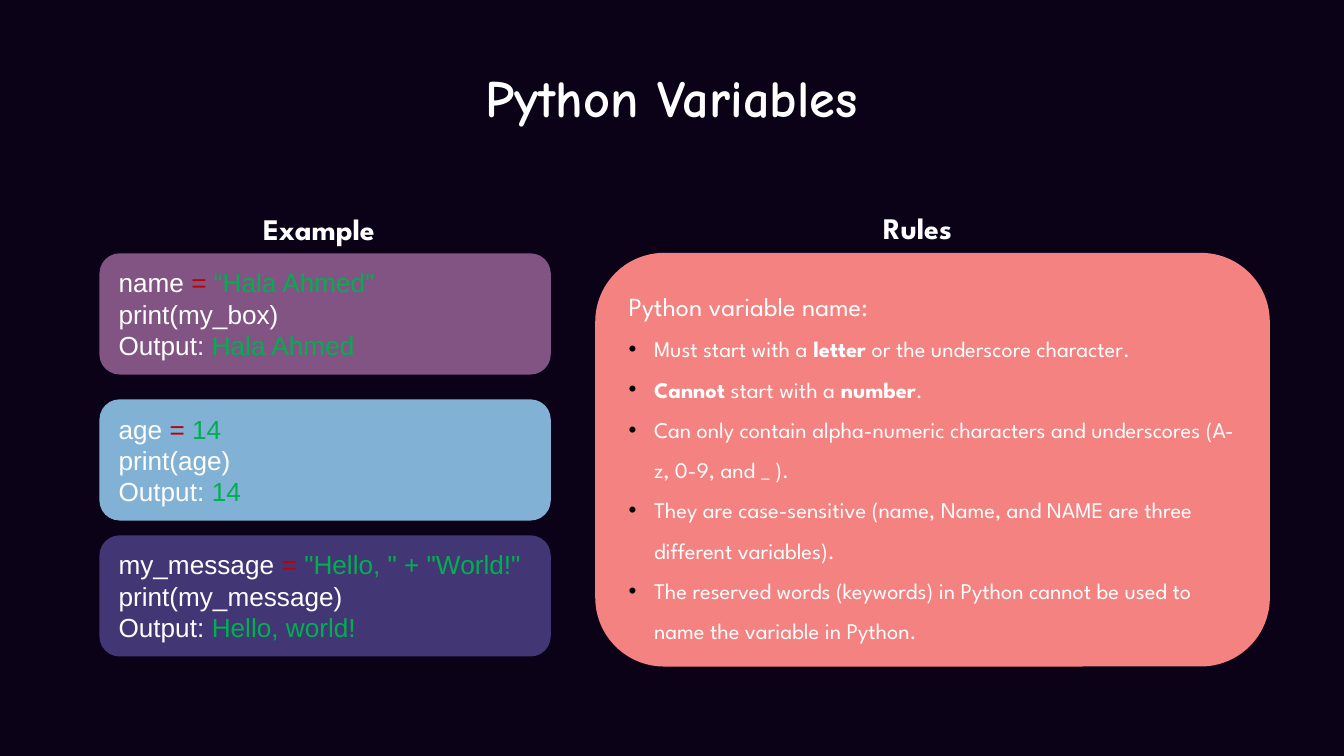
from dataclasses import dataclass

from lxml import etree
from pptx import Presentation
from pptx import util as u
from pptx.dml.color import RGBColor
from pptx.enum import shapes, text
from pptx.oxml.ns import qn

# Content: runs are (words, style) pairs
TITLE = "Python Variables"
EXAMPLES = [
    # variable, value, printed expression, output, top in cm, fill
    ("name", "“Hala Ahmed\"", "my_box", "Hala Ahmed", 4.79, "815483"),
    ("age", "14", "age", "14", 7.55, "81B2D6"),
    ("my_message", '"Hello, " + "World!"', "my_message", "Hello, world!", 10.12, "433675"),
]
RULES_INTRO = "Python variable name:"
RULES = [
    [("Must start with a ", False), ("letter", True),
     (" or the underscore character.", False)],
    [("Cannot", True), (" start with a ", False), ("number", True), (".", False)],
    [("Can only contain alpha-numeric characters and underscores (A-z, 0-9, and _ ).", False)],
    [("They are case-sensitive (name, Name, and NAME are three different variables).", False)],
    [("The reserved words (keywords) in Python cannot be used to name the variable in Python.",
      False)],
]
# Headings: words, left, top in cm
HEADINGS = [("Example", 3.07, 3.86), ("Rules", 14.38, 3.84)]


@dataclass(frozen=True)
class Theme:
    background: str = "0B0218"
    words: str = "FFFFFF"
    operator: str = "C00000"
    value: str = "00B050"
    rules_fill: str = "F38281"
    bullet: str = "000000"
    title_font: str = "Comic Neue"
    code_font: str = "Arial"
    body_font: str = "League Spartan"
    title_size: int = 28
    heading_size: int = 16
    lead_size: int = 14
    rule_size: int = 12


THEME = Theme()


def rgb(code):
    return RGBColor.from_string(code)


def set_font(paragraph, name, size, bold=False):
    font = paragraph.font
    font.name, font.size, font.bold = name, u.Pt(size), bold
    font.color.rgb = rgb(THEME.words)


def next_paragraph(frame, first):
    return frame.paragraphs[0] if first else frame.add_paragraph()


def add_label(slide, words, box, font_name, size):
    """Add a centred bold text box; box is left, top, width, height in cm."""
    label = slide.shapes.add_textbox(*map(u.Cm, box))
    frame = label.text_frame
    frame.word_wrap = True
    paragraph = frame.paragraphs[0]
    paragraph.text = words
    paragraph.alignment = text.PP_ALIGN.CENTER
    set_font(paragraph, font_name, size, bold=True)
    return frame


def add_card(slide, box, fill):
    """Add a rounded card and return its text frame."""
    card = slide.shapes.add_shape(shapes.MSO_SHAPE.ROUNDED_RECTANGLE, *map(u.Cm, box))
    card.shadow.inherit = False
    card.fill.solid()
    card.fill.fore_color.rgb = rgb(fill)
    card.line.fill.background()
    frame = card.text_frame
    frame.word_wrap = True
    frame.vertical_anchor = text.MSO_ANCHOR.MIDDLE
    return frame


def add_bullet(paragraph, indent):
    properties = paragraph._p.get_or_add_pPr()
    properties.set("marL", str(indent))
    properties.set("indent", str(-indent))
    color = etree.SubElement(properties, qn("a:buClr"))
    etree.SubElement(color, qn("a:srgbClr"), val=THEME.bullet)
    etree.SubElement(properties, qn("a:buFont"), typeface=THEME.code_font)
    etree.SubElement(properties, qn("a:buChar"), char="•")


def add_example(slide, variable, value, printed, output, top, fill):
    frame = add_card(slide, (1.88, top, 8.53, 2.29), fill)
    lines = [
        [(f"{variable} ", THEME.words), ("= ", THEME.operator), (value, THEME.value)],
        [(f"print({printed})", THEME.words)],
        [("Output: ", THEME.words), (output, THEME.value)],
    ]
    for index, line in enumerate(lines):
        paragraph = next_paragraph(frame, index == 0)
        paragraph.alignment = text.PP_ALIGN.LEFT
        set_font(paragraph, THEME.code_font, THEME.lead_size)
        for words, color in line:
            run = paragraph.add_run()
            run.text = words
            run.font.color.rgb = rgb(color)


def add_rules(slide):
    frame = add_card(slide, (11.25, 4.78, 12.75, 7.82), THEME.rules_fill)
    for index, line in enumerate([[(RULES_INTRO, False)], *RULES]):
        is_intro = index == 0
        paragraph = next_paragraph(frame, is_intro)
        paragraph.alignment = text.PP_ALIGN.LEFT
        paragraph.line_spacing = 1.5
        set_font(paragraph, THEME.body_font, THEME.lead_size if is_intro else THEME.rule_size)
        if not is_intro:
            add_bullet(paragraph, u.Cm(0.48))
        for words, bold in line:
            run = paragraph.add_run()
            run.text = words
            run.font.bold = bold
            run.font.color.rgb = rgb(THEME.words)


def main():
    presentation = Presentation()
    presentation.slide_width, presentation.slide_height = u.Cm(25.4), u.Cm(14.29)
    slide = presentation.slides.add_slide(presentation.slide_layouts[6])
    slide.background.fill.solid()
    slide.background.fill.fore_color.rgb = rgb(THEME.background)

    # Title
    frame = add_label(slide, TITLE, (4.37, 0.99, 16.64, 1.63),
                      THEME.title_font, THEME.title_size)
    frame.margin_top = frame.margin_bottom = u.Cm(0.25)

    # Cards
    for example in EXAMPLES:
        add_example(slide, *example)
    add_rules(slide)

    # Headings above the cards
    for words, left, top in HEADINGS:
        add_label(slide, words, (left, top, 5.92, 0.94), THEME.body_font, THEME.heading_size)

    presentation.save("out.pptx")


if __name__ == "__main__":
    main()
